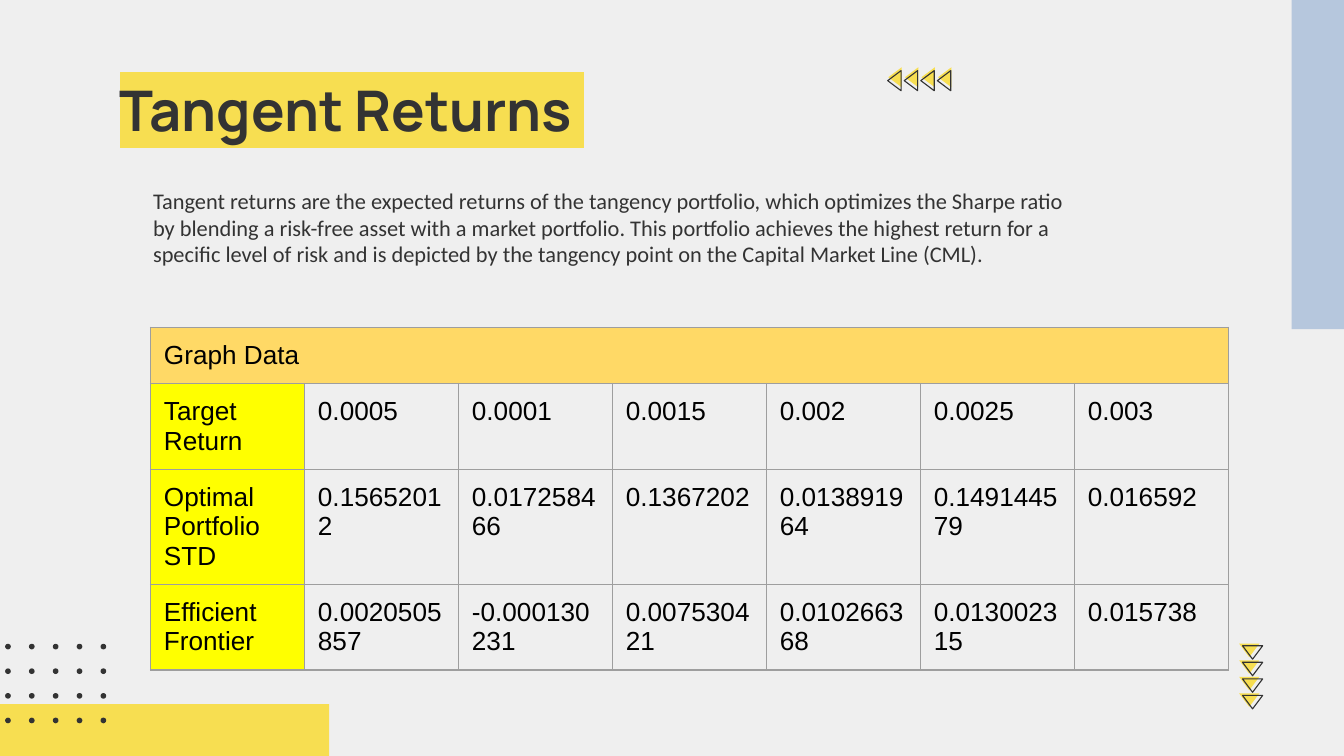
from typing import NamedTuple

from lxml import etree
from pptx import Presentation
from pptx.dml.color import RGBColor
from pptx.enum.shapes import MSO_SHAPE
from pptx.enum.text import MSO_ANCHOR, MSO_AUTO_SIZE, PP_ALIGN
from pptx.oxml import parse_xml
from pptx.oxml.ns import nsdecls, qn
from pptx.util import Inches, Pt

RECT, OVAL = MSO_SHAPE.RECTANGLE, MSO_SHAPE.OVAL
TOP, LEFT, FIXED = MSO_ANCHOR.TOP, PP_ALIGN.LEFT, MSO_AUTO_SIZE.NONE

# Square grid: 1000 columns by 562.5 rows
COLS, ROWS = 1000, 562.5
UNIT = Inches(10) / COLS
PAD = 10

INK, PAPER, GOLD, BLUE = "333333", "EFEFEF", "F7DE51", "B6C7DD"
HEAD, LABEL, RULE, BLACK = "FFD966", "FFFF00", "9E9E9E", "000000"


class Box(NamedTuple):
    x: float
    y: float
    w: float
    h: float


class Band(NamedTuple):
    box: Box
    color: str


class Trail(NamedTuple):
    """A row of triangles: first corner, step to the next, and outline."""
    x: float
    y: float
    dx: float
    dy: float
    points: tuple
    shift: tuple


BANDS = (
    Band(Box(COLS - 39, 0, 39, 245), BLUE),
    Band(Box(0, ROWS - 38.5, 245, 38.5), GOLD),
)
STEP = 12.33
TRAILS = (
    Trail(661, 50, STEP, 0, ((10, 0), (0, 7.5), (10, 15)), (-0.5, 2.5)),
    Trail(922, 479, 0, STEP, ((0, 0), (7.5, 10), (15, 0)), (2.5, 1.5)),
)
TITLE = Box(79, 49, 843, 63)
INTRO = Box(104, 129, 715, 104)
TABLE = Box(112, 243.5, 802, 215)
HEIGHTS = (33, 52, 70, 60)
DATA = (
    ("Target Return", "0.0005", "0.0001", "0.0015", "0.002", "0.0025", "0.003"),
    ("Optimal Portfolio STD", "0.15652012", "0.017258466", "0.1367202",
     "0.013891964", "0.149144579", "0.016592"),
    ("Efficient Frontier", "0.0020505857", "-0.000130231", "0.007530421",
     "0.010266368", "0.013002315", "0.015738"),
)


def grid(n: float) -> int:
    return round(n * UNIT)


def rgb(color: str) -> RGBColor:
    return RGBColor.from_string(color)


def paint(shape, fill: str = "", line: str = "") -> None:
    shape.shadow.inherit = False
    if fill:
        shape.fill.solid()
        shape.fill.fore_color.rgb = rgb(fill)
    else:
        shape.fill.background()
    if line:
        shape.line.color.rgb = rgb(line)
        shape.line.width = Pt(0.6)
    else:
        shape.line.fill.background()


def block(slide, kind, box: Box, color: str) -> None:
    paint(slide.shapes.add_shape(kind, *map(grid, box)), fill=color)


def write(frame, text: str, *, font: str, size: float, color: str,
          bold: bool = False, mark: str = "") -> None:
    """Fill a text frame with one left-aligned run; mark is a highlight."""
    para = frame.paragraphs[0]
    para.alignment = LEFT
    run = para.add_run()
    run.text = text
    run.font.size, run.font.bold = Pt(size), bold
    run.font.color.rgb = rgb(color)
    run.font.name = font
    if mark:
        light = parse_xml(f'<a:highlight {nsdecls("a")}>'
                          f'<a:srgbClr val="{mark}"/></a:highlight>')
        run.font._element.find(qn("a:solidFill")).addnext(light)


def fit(frame, top: float = PAD) -> None:
    frame.word_wrap, frame.auto_size = True, FIXED
    frame.vertical_anchor = TOP
    frame.margin_left = frame.margin_right = frame.margin_bottom = grid(PAD)
    frame.margin_top = grid(top)


def place(shape, box: Box) -> None:
    shape.left, shape.top, shape.width, shape.height = map(grid, box)


def dots(slide) -> None:
    for col in range(5):
        for row in range(4):
            spot = Box(3.8 + 17.75 * col, 479 + 18.33 * row, 4.2, 4.2)
            block(slide, OVAL, spot, INK)


def wedge(slide, x: float, y: float, points: tuple, **look: str) -> None:
    path = [(grid(x + px), grid(y + py)) for px, py in points]
    pen = slide.shapes.build_freeform(*path[0])
    pen.add_line_segments(path[1:], close=True)
    paint(pen.convert_to_shape(), **look)


def trail(slide, item: Trail) -> None:
    for (sx, sy), look in (((0, 0), {"fill": GOLD}), (item.shift, {"line": INK})):
        for i in range(4):
            wedge(slide, item.x + sx + i * item.dx, item.y + sy + i * item.dy,
                  item.points, **look)


def border(cell) -> None:
    props = cell._tc.get_or_add_tcPr()
    for side in ("lnL", "lnR", "lnT", "lnB"):
        line = etree.SubElement(props, qn(f"a:{side}"), w=str(Pt(0.75)))
        fill = etree.SubElement(line, qn("a:solidFill"))
        etree.SubElement(fill, qn("a:srgbClr"), val=RULE)


def style(cell, text: str, fill: str) -> None:
    border(cell)
    if fill:
        cell.fill.solid()
        cell.fill.fore_color.rgb = rgb(fill)
    else:
        cell.fill.background()
    cell.margin_left = cell.margin_right = grid(PAD)
    cell.margin_top = cell.margin_bottom = grid(PAD)
    cell.vertical_anchor = TOP
    if text:
        write(cell.text_frame, text, font="Arial", size=14, color=BLACK)


def table(slide) -> None:
    count = len(DATA[0])
    rows = (("Graph Data",) + ("",) * (count - 1),) + DATA
    grid_table = slide.shapes.add_table(
        len(rows), count, *map(grid, TABLE)).table
    grid_table.first_row = grid_table.horz_banding = False
    for col in grid_table.columns:
        col.width = grid(TABLE.w / count)
    for r, row in enumerate(rows):
        grid_table.rows[r].height = grid(HEIGHTS[r])
        for c, text in enumerate(row):
            fill = HEAD if r == 0 else LABEL if c == 0 else ""
            style(grid_table.cell(r, c), text, fill)
    grid_table.cell(0, 0).merge(grid_table.cell(0, count - 1))


def main() -> None:
    deck = Presentation()
    deck.slide_width, deck.slide_height = grid(COLS), grid(ROWS)
    slide = deck.slides.add_slide(deck.slide_layouts[5])
    slide.background.fill.solid()
    slide.background.fill.fore_color.rgb = rgb(PAPER)

    for band in BANDS:
        block(slide, RECT, band.box, band.color)
    dots(slide)
    for item in TRAILS:
        trail(slide, item)

    title = slide.shapes.title
    place(title, TITLE)
    fit(title.text_frame, top=7)
    write(title.text_frame, "Tangent Returns ", font="Manrope", size=30,
          color=INK, bold=True, mark=GOLD)
    table(slide)
    intro = slide.shapes.add_textbox(*map(grid, INTRO)).text_frame
    fit(intro)
    write(intro, "Tangent returns are the expected returns of the tangency "
          "portfolio, which optimizes the Sharpe ratio by blending a risk-free "
          "asset with a market portfolio. This portfolio achieves the highest "
          "return for a specific level of risk and is depicted by the tangency "
          "point on the Capital Market Line (CML).",
          font="Calibri", size=12, color=INK)
    deck.save("out.pptx")


if __name__ == "__main__":
    main()
